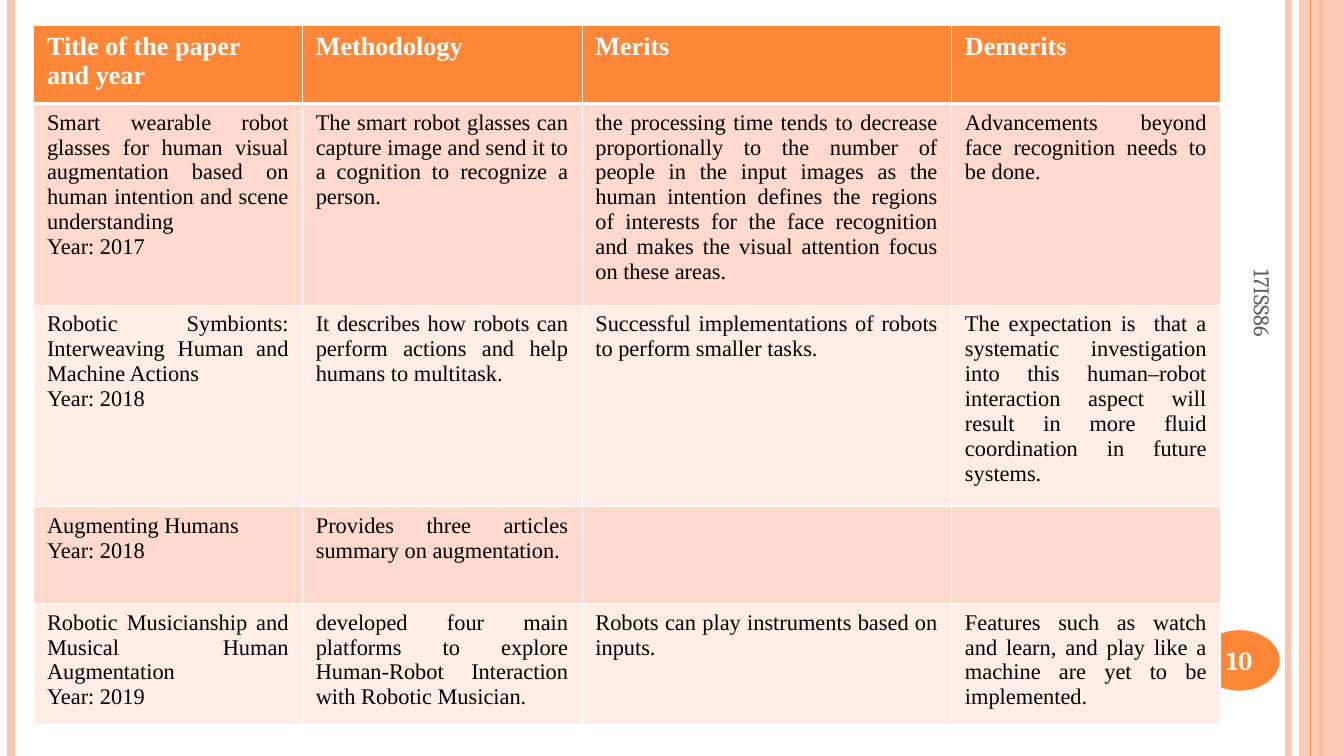
from dataclasses import dataclass

from lxml.etree import SubElement
from pptx import Presentation
from pptx.dml.color import RGBColor
from pptx.enum.shapes import MSO_CONNECTOR as CONN, MSO_SHAPE as SHAPE
from pptx.enum.text import MSO_ANCHOR as ANCHOR, PP_ALIGN as ALIGN
from pptx.oxml.ns import qn
from pptx.util import Pt


@dataclass(frozen=True)
class Theme:
    accent: str = "FE8637"
    pale: str = "FEC3AE"
    white: str = "FFFFFF"
    black: str = "000000"
    slate: str = "575F6D"
    bands: tuple = ("FFD9CE", "FFEDE8")
    table_font: str = "Times New Roman"
    label_font: str = "Cambria"
    large: float = 14
    small: float = 12
    thin: float = 0.45
    thick: float = 1.47


THEME = Theme()

HEADER = ["Title of the paper and year", "Methodology", "Merits", "Demerits"]
PAPERS = [
    ["Smart wearable robot glasses for human visual augmentation based on human "
     "intention and scene understanding\nYear: 2017",
     "The smart robot glasses can capture image and send it to a cognition to "
     "recognize a person.",
     "the processing time tends to decrease proportionally to the number of people "
     "in the input images as the human intention defines the regions of interests "
     "for the face recognition and makes the visual attention focus on these areas.",
     "Advancements beyond face recognition needs to be done."],
    ["Robotic Symbionts: Interweaving Human and Machine Actions\nYear: 2018",
     "It describes how robots can perform actions and help humans to multitask.",
     "Successful implementations of robots to perform smaller tasks.",
     "The expectation is  that a systematic investigation into this human–robot "
     "interaction aspect will result in more fluid coordination in future systems."],
    ["Augmenting Humans\nYear: 2018",
     "Provides three articles summary on augmentation.", "", ""],
    ["Robotic Musicianship and Musical Human Augmentation\nYear: 2019",
     "developed four main platforms to explore Human-Robot Interaction with "
     "Robotic Musician.",
     "Robots can play instruments based on inputs.",
     "Features such as watch and learn, and play like a machine are yet to be "
     "implemented."],
]
COL_WIDTHS = [144, 149.76, 198, 144]
ROW_HEIGHTS = [41.8, 108, 108, 51.8, 64.8]


def rgb(color):
    return RGBColor.from_string(color)


def set_alpha(fill_format, element, percent):
    fill_format.fore_color.rgb = rgb(THEME.pale)
    clr = next(element.iter(qn("a:srgbClr")))
    SubElement(clr, qn("a:alpha"), val=str(percent * 1000))


def format_text(tf, size, font, color, bold=False, align=ALIGN.LEFT):
    for p in tf.paragraphs:
        p.alignment = align
        for r in p.runs:
            r.font.size = Pt(size)
            r.font.name = font
            r.font.bold = bold
            r.font.color.rgb = rgb(color)


def add_filled(s, kind, box, color):
    sp = s.shapes.add_shape(kind, *map(Pt, box))
    sp.shadow.inherit = False
    sp.fill.solid()
    sp.fill.fore_color.rgb = rgb(color)
    sp.line.fill.background()
    return sp


def add_rule(s, x, top, height, color, width):
    line = s.shapes.add_connector(CONN.STRAIGHT, Pt(x), Pt(top), Pt(x), Pt(top + height))
    line.line.color.rgb = rgb(color)
    line.line.width = Pt(width)
    SubElement(line._element.spPr, qn("a:effectLst"))
    return line


def add_label(s, box, text, size, color, bold=False, align=ALIGN.LEFT, rotation=0):
    sp = s.shapes.add_textbox(*map(Pt, box))
    sp.rotation = rotation
    tf = sp.text_frame
    tf.word_wrap = True
    tf.vertical_anchor = ANCHOR.MIDDLE
    tf.text = text
    format_text(tf, size, THEME.label_font, color, bold, align)


def add_side_bands(s, box):
    left, top, width, height = box
    right = left + width
    inner = add_rule(s, right - 30, top, height, THEME.pale, 3)
    set_alpha(inner.line.fill, inner._element.spPr, 93)
    add_rule(s, left + 6, top, height, THEME.pale, 4.5)
    add_rule(s, right - 12, top, height, THEME.accent, 1.5)
    band = add_filled(s, SHAPE.RECTANGLE, (right - 24, top, 24, height), THEME.pale)
    set_alpha(band.fill, band._element.spPr, 87)
    add_rule(s, right - 18, top, height, THEME.accent, 0.75)


def add_page_badge(s, box, number):
    left, top, width, height = box
    add_filled(s, SHAPE.OVAL, box, THEME.accent)
    add_label(s, (left - 2.4, top + 0.6, width + 4.8, height - 1.2), number,
              THEME.large, THEME.white, bold=True, align=ALIGN.CENTER)


def set_borders(cell, top, bottom):
    tc_pr = cell._tc.get_or_add_tcPr()
    widths = {"L": THEME.thin, "R": THEME.thin, "T": top, "B": bottom}
    for side, width in widths.items():
        ln = SubElement(tc_pr, qn(f"a:ln{side}"), w=str(Pt(width)))
        SubElement(SubElement(ln, qn("a:solidFill")), qn("a:srgbClr"), val=THEME.white)


def add_paper_table(s, box):
    rows = [HEADER] + PAPERS
    table = s.shapes.add_table(len(rows), len(HEADER), *map(Pt, box)).table
    for column, width in zip(table.columns, COL_WIDTHS):
        column.width = Pt(width)
    for i, (values, height) in enumerate(zip(rows, ROW_HEIGHTS)):
        table.rows[i].height = Pt(height)
        for j, value in enumerate(values):
            cell = table.cell(i, j)
            set_borders(cell, THEME.thick if i == 1 else THEME.thin,
                        THEME.thick if i == 0 else THEME.thin)
            cell.fill.solid()
            cell.fill.fore_color.rgb = rgb(THEME.bands[(i - 1) % 2] if i else THEME.accent)
            cell.text_frame.text = value
            if i == 0:
                format_text(cell.text_frame, THEME.large, THEME.table_font,
                            THEME.white, bold=True)
            else:
                format_text(cell.text_frame, THEME.small, THEME.table_font,
                            THEME.black, align=ALIGN.JUSTIFY)


def add_course_code(s, box):
    add_label(s, box, "17ISS86", THEME.small, THEME.slate, rotation=90)


def main():
    prs = Presentation()
    prs.slide_width, prs.slide_height = Pt(720), Pt(405)
    s = prs.slides.add_slide(prs.slide_layouts[6])
    add_side_bands(s, (0, 0, 720, 405))
    add_page_badge(s, (642.4, 337.6, 43.2, 32.4), "10")
    add_paper_table(s, (18, 13.7, sum(COL_WIDTHS), sum(ROW_HEIGHTS)))
    add_course_code(s, (581.8, 217.4, 189.4, 28.8))
    prs.save("out.pptx")


if __name__ == "__main__":
    main()
